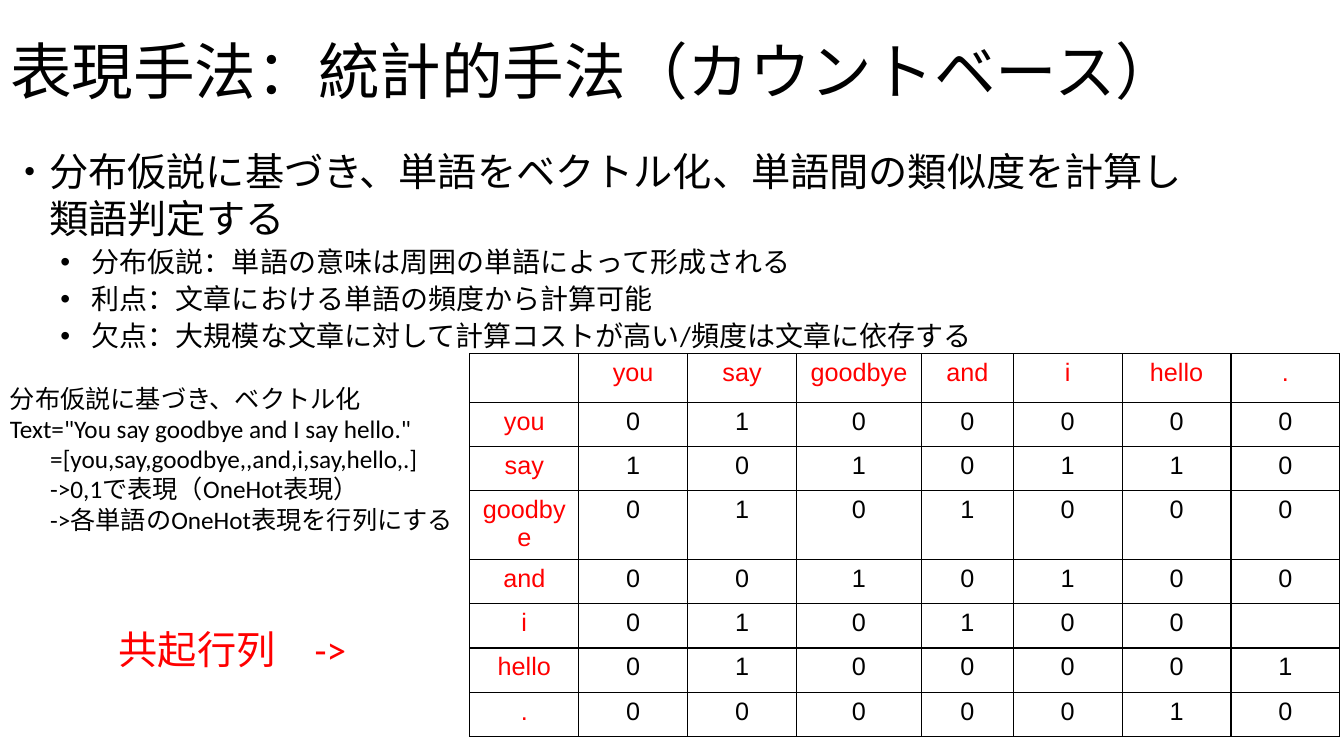
"""Build a slide on count-based word vectors with a co-occurrence matrix."""
from lxml import etree
from pptx import Presentation
from pptx import util as u
from pptx.dml.color import RGBColor
from pptx.enum import text as t
from pptx.oxml import ns

INK = {"black": "000000", "red": "FF0000"}
WORDS = ["you", "say", "goodbye", "and", "i", "hello", "."]
COUNTS = ["0100000", "1010110", "0101000", "0010100", "010100 ", "0100001", "0000010"]
WIDTHS = [1.08, 1.08, 1.08, 1.24, 0.91, 1.08, 1.08, 1.08]
HEIGHTS = [0.48, 0.44, 0.44, 0.68, 0.44, 0.44, 0.44, 0.44]
POINTS = [
    "分布仮説：単語の意味は周囲の単語によって形成される",
    "利点：文章における単語の頻度から計算可能",
    "欠点：大規模な文章に対して計算コストが高い/頻度は文章に依存する",
]
STEPS = [
    "=[you,say,goodbye,,and,i,say,hello,.]",
    "->0,1で表現（OneHot表現）",
    "->各単語のOneHot表現を行列にする",
]


def add(node, tag, **attrs):
    return etree.SubElement(node, ns.qn(tag), attrs)


def write(frame, words, size=18, color="black", font="Calibri", align=t.PP_ALIGN.LEFT,
          level=0, left=0, hang=0, line=1.0, before=0, bullet=None):
    para = frame.paragraphs[0]
    if para.runs:
        para = frame.add_paragraph()
    para.alignment, para.level = align, level
    para.line_spacing, para.space_before = line, u.Pt(before)
    props = para._p.get_or_add_pPr()
    props.set("marL", str(u.Inches(left)))
    props.set("indent", str(u.Inches(-hang)))
    if bullet:
        add(props, "a:buFont", typeface="Arial")
        add(props, "a:buChar", char=bullet)
    else:
        add(props, "a:buNone")
    run = para.add_run()
    run.text = words
    run.font.size, run.font.name = u.Pt(size), font
    run.font.color.rgb = RGBColor.from_string(INK[color])
    add(run._r.get_or_add_rPr(), "a:ea", typeface="Noto Sans CJK JP")


def place(shape, left, top, width, height, anchor=t.MSO_ANCHOR.TOP):
    shape.left, shape.top = u.Inches(left), u.Inches(top)
    shape.width, shape.height = u.Inches(width), u.Inches(height)
    frame = shape.text_frame
    frame.word_wrap, frame.auto_size = True, t.MSO_AUTO_SIZE.NONE
    frame.vertical_anchor = anchor
    return frame


def box(slide, *spot):
    return place(slide.shapes.add_textbox(0, 0, 0, 0), *spot)


def border(cell):
    props = cell._tc.get_or_add_tcPr()
    for side in ("a:lnL", "a:lnR", "a:lnT", "a:lnB"):
        edge = add(props, side, w=str(u.Pt(1)))
        add(add(edge, "a:solidFill"), "a:srgbClr", val=INK["black"])
    cell.fill.background()


def matrix(slide, left, top):
    rows = [["", *WORDS]] + [[word, *nums] for word, nums in zip(WORDS, COUNTS)]
    table = slide.shapes.add_table(
        len(rows), len(WIDTHS), u.Inches(left), u.Inches(top),
        u.Inches(sum(WIDTHS)), u.Inches(sum(HEIGHTS))).table
    table.first_row = table.horz_banding = False
    for col, width in zip(table.columns, WIDTHS):
        col.width = u.Inches(width)
    for row, height in zip(table.rows, HEIGHTS):
        row.height = u.Inches(height)
    for r, row in enumerate(rows):
        for c, words in enumerate(row):
            cell = table.cell(r, c)
            border(cell)
            if words.strip():
                color = "black" if r and c else "red"
                write(cell.text_frame, words, color=color, font="Arial",
                      align=t.PP_ALIGN.CENTER)


def main():
    deck = Presentation()
    deck.slide_width, deck.slide_height = u.Inches(13.33), u.Inches(7.5)
    slide = deck.slides.add_slide(deck.slide_layouts[1])

    title = place(slide.shapes.title, 0, 0, 13.33, 1.48, t.MSO_ANCHOR.MIDDLE)
    write(title, "表現手法：統計的手法（カウントベース）", size=44, line=0.9)

    body = place(slide.placeholders[1], 0, 1.41, 13.33, 2.1)
    write(body, "・分布仮説に基づき、単語をベクトル化、単語間の類似度を計算し", size=28)
    write(body, "類語判定する", size=28, left=0.39)
    for point in POINTS:
        write(body, point, size=20, level=1, left=0.81, hang=0.31,
              line=0.9, before=5, bullet="•")

    note = box(slide, 0, 3.75, 5.17, 1.92)
    write(note, "分布仮説に基づき、ベクトル化")
    write(note, 'Text="You say goodbye and I say hello."')
    for step in STEPS:
        write(note, step, left=0.4)

    matrix(slide, 4.66, 3.51)
    write(box(slide, 1.08, 6.15, 3, 0.57), "共起行列　->", size=28, color="red")
    deck.save("out.pptx")


if __name__ == "__main__":
    main()
